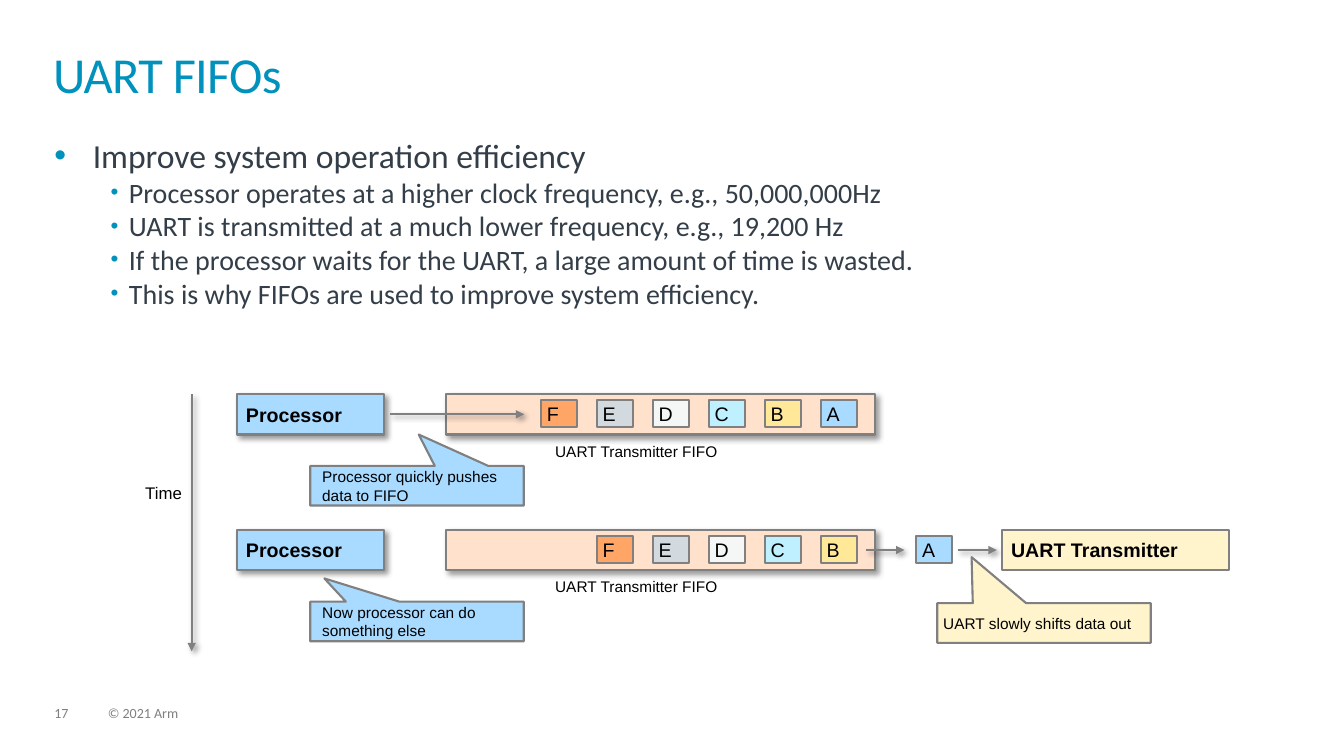
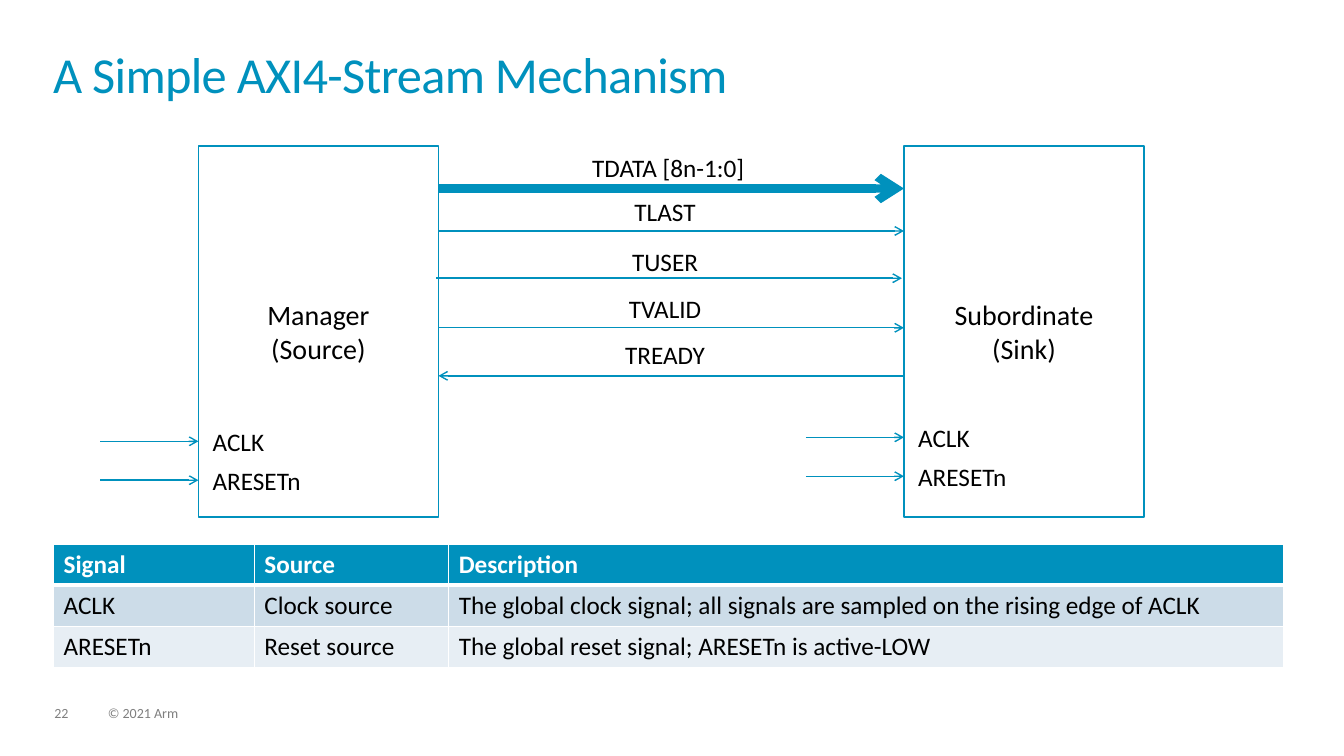
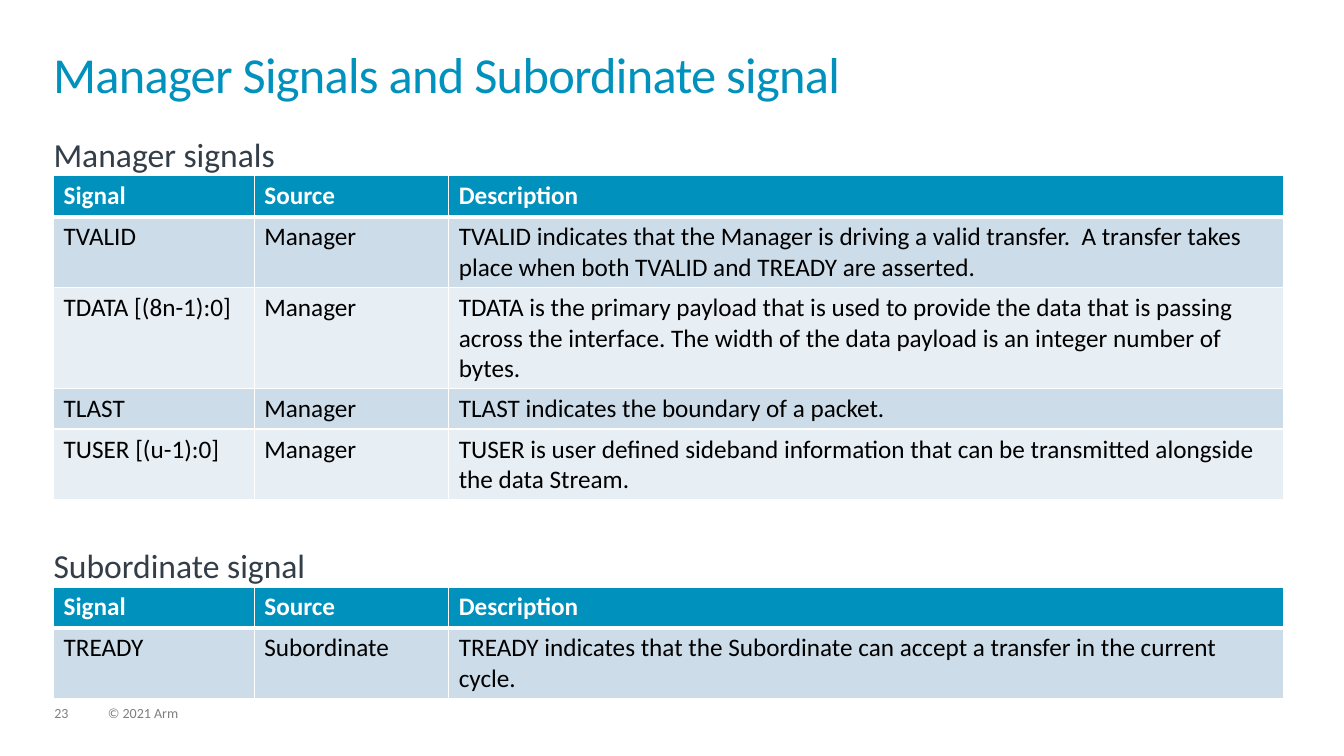
from lxml import etree
from pptx import Presentation
from pptx.dml.color import RGBColor
from pptx.enum.shapes import MSO_CONNECTOR as Link, MSO_SHAPE as Preset
from pptx.enum.text import MSO_ANCHOR as Anchor, PP_ALIGN as Align
from pptx.oxml.ns import qn
from pptx.util import Cm, Pt

COLORS = {
    "accent": "0091BD", "ink": "333E48", "black": "000000", "white": "FFFFFF",
    "gray": "808080", "footer": "7F7F7F", "band_dark": "CCDCE8", "band_light": "E7EEF4",
    "blue": "A8DBFF", "peach": "FFE1CC", "cream": "FFF4CC",
    "A": "A8DBFF", "B": "FFE999", "C": "BFF0FF", "D": "F5F7F7", "E": "D2D9DF", "F": "FFA666",
}
SIGNAL_COLUMNS = (5.06, 4.9, 21.03)
SIGNAL_HEADER = ("Signal", "Source", "Description")
ROW_HEIGHT = 1.03


def color(name):
    return RGBColor.from_string(COLORS[name])


def child(parent, tag, **attributes):
    return etree.SubElement(parent, qn(tag), attributes)


def add_solid(parent, name):
    child(child(parent, "a:solidFill"), "a:srgbClr", val=COLORS[name])


def write(para, text, size, ink="black", font="Calibri", bold=False, spacing=None):
    span = para.add_run()
    span.text = text
    span.font.size = Pt(size)
    span.font.name = font
    span.font.bold = bold
    span.font.color.rgb = color(ink)
    if spacing:
        span._r.get_or_add_rPr().set("spc", str(spacing))


def set_insets(frame, left=0, top=0, right=0, bottom=0):
    frame.margin_left, frame.margin_top = Cm(left), Cm(top)
    frame.margin_right, frame.margin_bottom = Cm(right), Cm(bottom)
    frame.word_wrap = True


def add_text(page, left, top, width, height, text, size, align=Align.LEFT, line=1.0, **style):
    box = page.shapes.add_textbox(Cm(left), Cm(top), Cm(width), Cm(height))
    set_insets(box.text_frame)
    para = box.text_frame.paragraphs[0]
    para.alignment = align
    para.line_spacing = line
    write(para, text, size, **style)


def add_shadow(shape):
    shadow = child(shape._element.spPr.find(qn("a:effectLst")), "a:outerShdw",
                   blurRad="50800", dist="38100", dir="2700000", algn="tl", rotWithShape="0")
    child(child(shadow, "a:srgbClr", val=COLORS["black"]), "a:alpha", val="40000")


def add_box(page, left, top, width, height, fill, line="gray", weight=1.5,
            preset=Preset.RECTANGLE, shadow=False):
    shape = page.shapes.add_shape(preset, Cm(left), Cm(top), Cm(width), Cm(height))
    shape.shadow.inherit = False
    shape.fill.solid()
    shape.fill.fore_color.rgb = color(fill)
    shape.line.color.rgb = color(line)
    shape.line.width = Pt(weight)
    if shadow:
        add_shadow(shape)
    return shape


def label_box(shape, text, size, inset, right=0, bold=False):
    frame = shape.text_frame
    set_insets(frame, left=inset, right=right)
    frame.vertical_anchor = Anchor.MIDDLE
    frame.paragraphs[0].alignment = Align.LEFT
    write(frame.paragraphs[0], text, size, font="Arial", bold=bold)


def add_arrow(page, start, end, line="accent", weight=1, head="arrow", shadow=False):
    arrow = page.shapes.add_connector(Link.STRAIGHT, *map(Cm, start + end))
    arrow.line.color.rgb = color(line)
    arrow.line.width = Pt(weight)
    child(arrow.line._get_or_add_ln(), "a:tailEnd", type=head)
    child(arrow._element.spPr, "a:effectLst")
    if shadow:
        add_shadow(arrow)


def add_flow(page, start, end):
    add_arrow(page, start, end, "gray", 1.5, "triangle", shadow=True)


def new_page(deck, title, number):
    page = deck.slides.add_slide(deck.slide_layouts[6])
    add_text(page, 1.37, 17.81, 0.86, 0.38, str(number), 10, line=0.9, ink="footer")
    add_text(page, 2.72, 17.81, 12.88, 0.38, "© 2021 Arm", 10, line=0.9, ink="footer")
    add_text(page, 1.34, 1.32, 31.19, 1.83, title, 36, line=0.85, ink="accent", spacing=-50)
    return page


def add_bullets(page, left, top, width, height, items):
    box = page.shapes.add_textbox(Cm(left), Cm(top), Cm(width), Cm(height))
    frame = box.text_frame
    set_insets(frame)
    for index, (level, text) in enumerate(items):
        para = frame.add_paragraph() if index else frame.paragraphs[0]
        margin, hang, scale, size = ((0.97, 0.97, 100, 24), (1.88, 0.46, 80, 20))[level]
        props = para._p.get_or_add_pPr()
        props.set("marL", str(Cm(margin)))
        props.set("indent", str(-Cm(hang)))
        child(child(props, "a:buClr"), "a:srgbClr", val=COLORS["accent"])
        child(props, "a:buSzPct", val=str(scale * 1000))
        child(props, "a:buFont", typeface="Arial")
        child(props, "a:buChar", char="•")
        para.level = level
        write(para, text, size, ink="ink")


def add_callout(page, left, top, text, fill, tip, inset, right):
    callout = add_box(page, left, top, 5.38, 1, fill, preset=Preset.RECTANGULAR_CALLOUT)
    callout.adjustments[0], callout.adjustments[1] = tip
    label_box(callout, text, 11, inset, right)


def add_data(page, left, top, letter):
    label_box(add_box(page, left, top, 0.91, 0.69, letter), letter, 14, 0.15)


def add_lane(page, left, top, letters, note, tip):
    processor = add_box(page, left, top, 3.71, 1.02, "blue", shadow=True)
    label_box(processor, "Processor", 14, 0.23, bold=True)
    add_box(page, left + 5.28, top, 10.8, 1.02, "peach", shadow=True)
    for slot, letter in enumerate(letters):
        add_data(page, left + 14.71 - 1.41 * slot, top + 0.15, letter)
    add_text(page, left + 8.02, top + 1.2, 7, 0.5, "UART Transmitter FIFO", 11, font="Arial")
    add_callout(page, left + 1.85, top + 1.81, note, "blue", tip, 0.3, 0.25)


def add_transmitter(page, left, top):
    middle = top + 0.51
    add_flow(page, (left, middle), (left + 0.97, middle))
    add_data(page, left + 1.27, top + 0.15, "A")
    add_flow(page, (left + 2.31, middle), (left + 3.3, middle))
    transmitter = add_box(page, left + 3.43, top, 5.72, 1.02, "cream")
    label_box(transmitter, "UART Transmitter", 14, 0.23, bold=True)
    add_callout(page, left + 1.8, top + 1.85, "UART slowly shifts data out", "cream",
                (-0.339, -1.66), 0.15, 0)


def build_fifos(deck):
    page = new_page(deck, "UART FIFOs", 17)
    add_bullets(page, 1.37, 3.4, 31.06, 11.35, [
        (0, "Improve system operation efficiency"),
        (1, "Processor operates at a higher clock frequency, e.g., 50,000,000Hz"),
        (1, "UART is transmitted at a much lower frequency, e.g., 19,200 Hz"),
        (1, "If the processor waits for the UART, a large amount of time is wasted."),
        (1, "This is why FIFOs are used to improve system efficiency."),
    ])
    left, first, second = 5.97, 9.93, 13.35
    add_flow(page, (4.83, first), (4.83, 16.41))
    add_text(page, 3.66, 12.17, 1.1, 0.5, "Time", 12, font="Arial")
    add_lane(page, left, first, "ABCDEF", "Processor quickly pushes data to FIFO",
             (0.008, -1.291))
    add_flow(page, (9.83, first + 0.51), (13.21, first + 0.51))
    add_lane(page, left, second, "BCDEF", "Now processor can do something else",
             (-0.434, -1.084))
    add_transmitter(page, 21.82, second)


def add_component(page, left, top, name, role, clock_top):
    component = add_box(page, left, top, 6.05, 9.35, "white", "accent", 1)
    frame = component.text_frame
    set_insets(frame)
    frame.vertical_anchor = Anchor.MIDDLE
    for para, text in zip((frame.paragraphs[0], frame.add_paragraph()), (name, role)):
        para.alignment = Align.CENTER
        write(para, text, 20)
    for index, port in enumerate(("ACLK", "ARESETn")):
        level = top + clock_top + 0.98 * index
        add_arrow(page, (left - 2.47, level), (left, level))
        add_text(page, left + 0.36, level - 0.38, 3.1, 1.07, port, 18)


def add_bus(page, left, right):
    signals = [
        ("TDATA [8n-1:0]", 3.84, 4.75, 6, 0.08, 0),
        ("TLAST", 4.95, 5.82, 1, 0, 0),
        ("TUSER", 6.2, 7.01, 1, 0, -0.05),
        ("TVALID", 7.39, 8.26, 1, 0, 0),
        ("TREADY", 8.56, 9.47, 1, 0, 0),
    ]
    for name, label_top, level, weight, label_shift, shift in signals:
        start, end = (left + shift, level), (right + shift, level)
        if name == "TREADY":
            start, end = end, start
        add_arrow(page, start, end, weight=weight)
        add_text(page, left + 3.2 + label_shift, label_top, 5.02, 1.07, name, 18, Align.CENTER)


def add_borders(cell, header, below_header):
    props = cell._tc.get_or_add_tcPr()
    heavy = {"a:lnB": header, "a:lnT": below_header}
    for index, tag in enumerate(("a:lnL", "a:lnR", "a:lnT", "a:lnB")):
        border = etree.Element(qn(tag), w=str(Pt(3 if heavy.get(tag) else 1)))
        add_solid(border, "white")
        props.insert(index, border)


def add_signal_table(page, left, top, entries):
    rows = [SIGNAL_HEADER, *entries]
    table = page.shapes.add_table(len(rows), len(SIGNAL_COLUMNS), Cm(left), Cm(top),
                                  Cm(sum(SIGNAL_COLUMNS)), Cm(ROW_HEIGHT * len(rows))).table
    table.horz_banding = False
    for column, width in zip(table.columns, SIGNAL_COLUMNS):
        column.width = Cm(width)
    for row, texts in enumerate(rows):
        header = row == 0
        band = "accent" if header else ("band_light", "band_dark")[row % 2]
        for column, text in enumerate(texts):
            cell = table.cell(row, column)
            cell.fill.solid()
            cell.fill.fore_color.rgb = color(band)
            add_borders(cell, header, row == 1)
            write(cell.text_frame.paragraphs[0], text, 18,
                  "white" if header else "black", bold=header)


def build_stream(deck):
    page = new_page(deck, "A Simple AXI4-Stream Mechanism", 22)
    add_component(page, 5, 3.68, "Manager", "(Source)", 7.44)
    add_component(page, 22.78, 3.68, "Subordinate", "(Sink)", 7.34)
    add_bus(page, 11.05, 22.78)
    add_signal_table(page, 1.35, 13.72, [
        ("ACLK", "Clock source",
         "The global clock signal; all signals are sampled on the rising edge of ACLK"),
        ("ARESETn", "Reset source", "The global reset signal; ARESETn is active-LOW"),
    ])


def add_signal_group(page, left, top, heading, entries):
    add_text(page, left, top, 12, 0.91, heading, 24, line=0.9, ink="ink")
    add_signal_table(page, left, top + 0.95, entries)


def build_signals(deck):
    page = new_page(deck, "Manager Signals and Subordinate signal", 23)
    add_signal_group(page, 1.35, 3.48, "Manager signals", [
        ("TVALID", "Manager",
         "TVALID indicates that the Manager is driving a valid transfer.  A transfer takes "
         "place when both TVALID and TREADY are asserted."),
        ("TDATA [(8n-1):0]", "Manager",
         "TDATA is the primary payload that is used to provide the data that is passing "
         "across the interface. The width of the data payload is an integer number of bytes."),
        ("TLAST", "Manager", "TLAST indicates the boundary of a packet."),
        ("TUSER [(u-1):0]", "Manager",
         "TUSER is user defined sideband information that can be transmitted alongside "
         "the data Stream."),
    ])
    add_signal_group(page, 1.35, 13.84, "Subordinate signal", [
        ("TREADY", "Subordinate",
         "TREADY indicates that the Subordinate can accept a transfer in the current cycle."),
    ])


def main():
    deck = Presentation()
    deck.slide_width, deck.slide_height = Cm(33.87), Cm(19.05)
    build_fifos(deck)
    build_stream(deck)
    build_signals(deck)
    deck.save("out.pptx")


if __name__ == "__main__":
    main()
